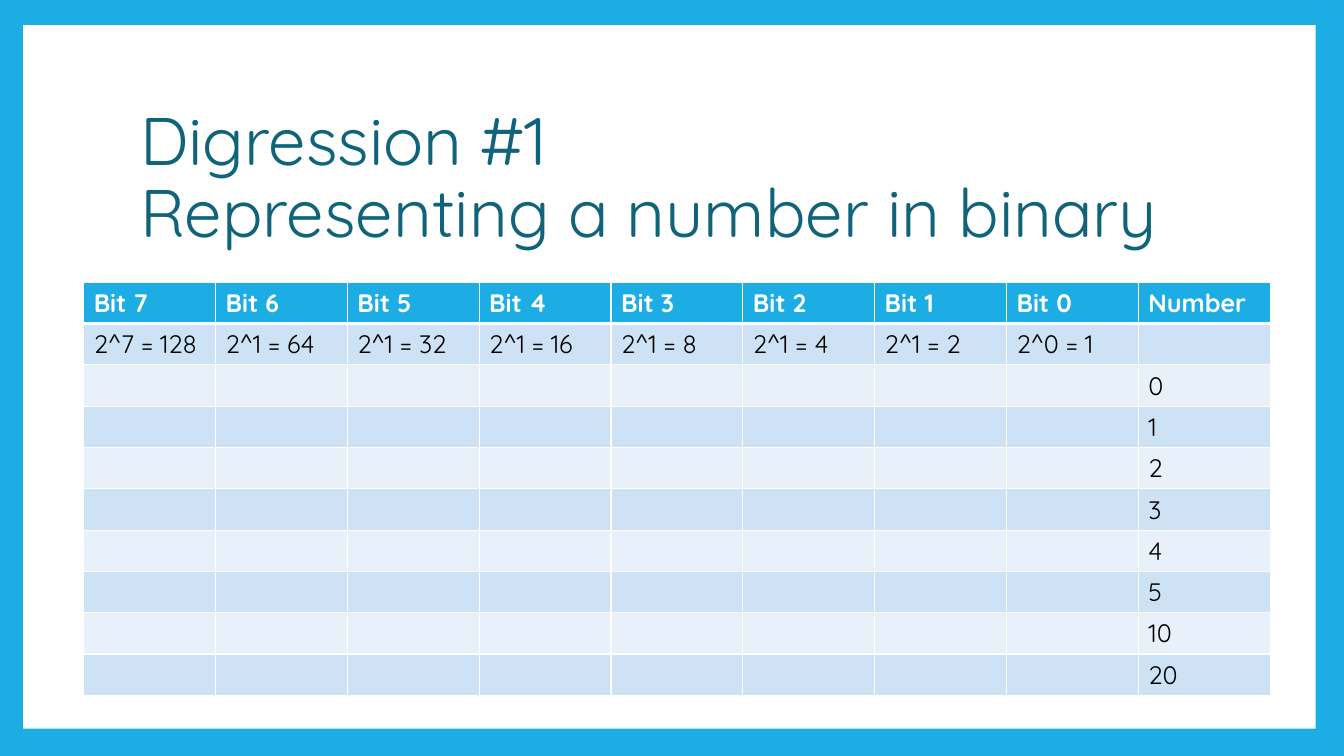
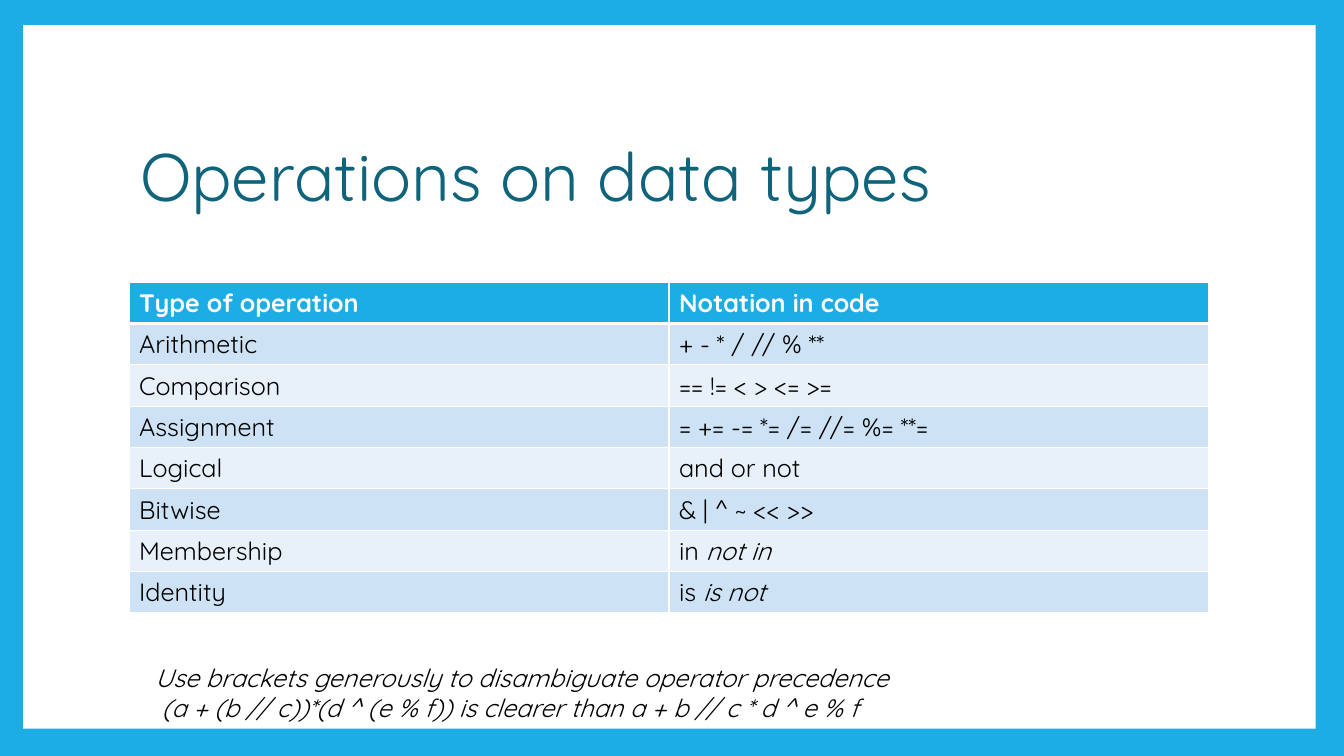
from pptx import Presentation
from pptx import util as u
from pptx.dml.color import RGBColor
from pptx.enum import shapes, text
from pptx.oxml import parse_xml
from pptx.oxml.ns import nsdecls

FONT = "Quicksand"
BLUE, TEAL, WHITE, BLACK = "1CADE4", "0F647B", "FFFFFF", "000000"
BANDS = "CDE3F5", "E8F1FA"
WIDE, HIGH = 13.33, 7.5
TITLE = 1.29, 0.95, 10.71, 1.67
ROW = 0.41


def hue(code):
    """Turn a hex string into a colour."""
    return RGBColor.from_string(code)


def inch(box):
    """Turn a box in inches into lengths."""
    return [u.Inches(n) for n in box]


def say(frame, *paras, size=18, color=BLACK, bold=False, slant=False, space=None):
    """Fill a text frame; a tuple holds an upright and a slanted part."""
    for i, para in enumerate(paras):
        line = frame.add_paragraph() if i else frame.paragraphs[0]
        if space:
            line.line_spacing = space
        if isinstance(para, tuple):
            for part in para:
                line.add_run().text = part
            line.runs[-1].font.italic = True
        else:
            line.text = para
        for run in line.runs:
            font = run.font
            font.name, font.size, font.bold = FONT, u.Pt(size), bold
            font.color.rgb = hue(color)
            if slant:
                font.italic = True


def rect(slide, box, color):
    """Add a plain filled rectangle."""
    item = slide.shapes.add_shape(shapes.MSO_SHAPE.RECTANGLE, *inch(box))
    item.shadow.inherit = False
    item.fill.solid()
    item.fill.fore_color.rgb = hue(color)
    item.line.fill.background()


def label(slide, box, *paras, anchor=text.MSO_ANCHOR.TOP, **style):
    """Add a wrapped text box."""
    frame = slide.shapes.add_textbox(*inch(box)).text_frame
    frame.word_wrap = True
    frame.vertical_anchor = anchor
    say(frame, *paras, **style)


def edge(cell, side, width):
    """Add one white border to a cell."""
    cell._tc.get_or_add_tcPr().append(parse_xml(
        f'<a:ln{side} {nsdecls("a")} w="{u.Pt(width)}"><a:solidFill>'
        f'<a:srgbClr val="{WHITE}"/></a:solidFill></a:ln{side}>'))


def grid(slide, left, top, width, rows):
    """Add a banded table with equal columns and a header row."""
    cols = len(rows[0])
    box = left, top, width, ROW * len(rows)
    table = slide.shapes.add_table(len(rows), cols, *inch(box)).table
    for col in table.columns:
        col.width = u.Inches(width / cols)
    for r, row in enumerate(rows):
        table.rows[r].height = u.Inches(ROW)
        head = r == 0
        for c, words in enumerate(row):
            cell = table.cell(r, c)
            for side in "LRTB":
                thick = head and side == "B" or r == 1 and side == "T"
                edge(cell, side, 3 if thick else 1)
            cell.fill.solid()
            cell.fill.fore_color.rgb = hue(BLUE if head else BANDS[(r - 1) % 2])
            if words:
                say(cell.text_frame, words, color=WHITE if head else BLACK, bold=head)


def page(deck, title):
    """Add a slide with the blue frame and a title."""
    slide = deck.slides.add_slide(deck.slide_layouts[6])
    rect(slide, (0, 0, WIDE, HIGH), BLUE)
    rect(slide, (0.23, 0.25, 12.82, 6.98), WHITE)
    label(slide, TITLE, title, anchor=text.MSO_ANCHOR.MIDDLE,
          size=48, color=TEAL, space=0.9)
    return slide


def binary(deck):
    """Build the slide on binary numbers."""
    slide = page(deck, "Digression #1\nRepresenting a number in binary")
    bits = range(7, -1, -1)
    power = {7: 7, 0: 0}
    rows = [[f"Bit {b}" for b in bits] + ["Number"],
            [f"2^{power.get(b, 1)} = {2 ** b}" for b in bits] + [""]]
    rows += [[""] * len(bits) + [str(n)] for n in (0, 1, 2, 3, 4, 5, 10, 20)]
    grid(slide, 0.83, 2.8, 11.77, rows)


def operations(deck):
    """Build the slide on operators."""
    slide = page(deck, "Operations on data types")
    grid(slide, 1.28, 2.8, 10.71, [
        ("Type of operation", "Notation in code"),
        ("Arithmetic", "+ - * / // % **"),
        ("Comparison", "== != < > <= >="),
        ("Assignment", "= += -= *= /= //= %= **="),
        ("Logical", "and or not"),
        ("Bitwise", "& | ^ ~ << >>"),
        ("Membership", ("in ", "not in")),
        ("Identity", ("is ", "is not")),
    ])
    label(slide, (1.44, 6.52, 8.03, 0.71),
          "Use brackets generously to disambiguate operator precedence",
          " (a + (b // c))*(d ^ (e % f)) is clearer than a + b // c * d ^ e % f",
          slant=True)


deck = Presentation()
deck.slide_width, deck.slide_height = inch((WIDE, HIGH))
binary(deck)
operations(deck)
deck.save("out.pptx")
